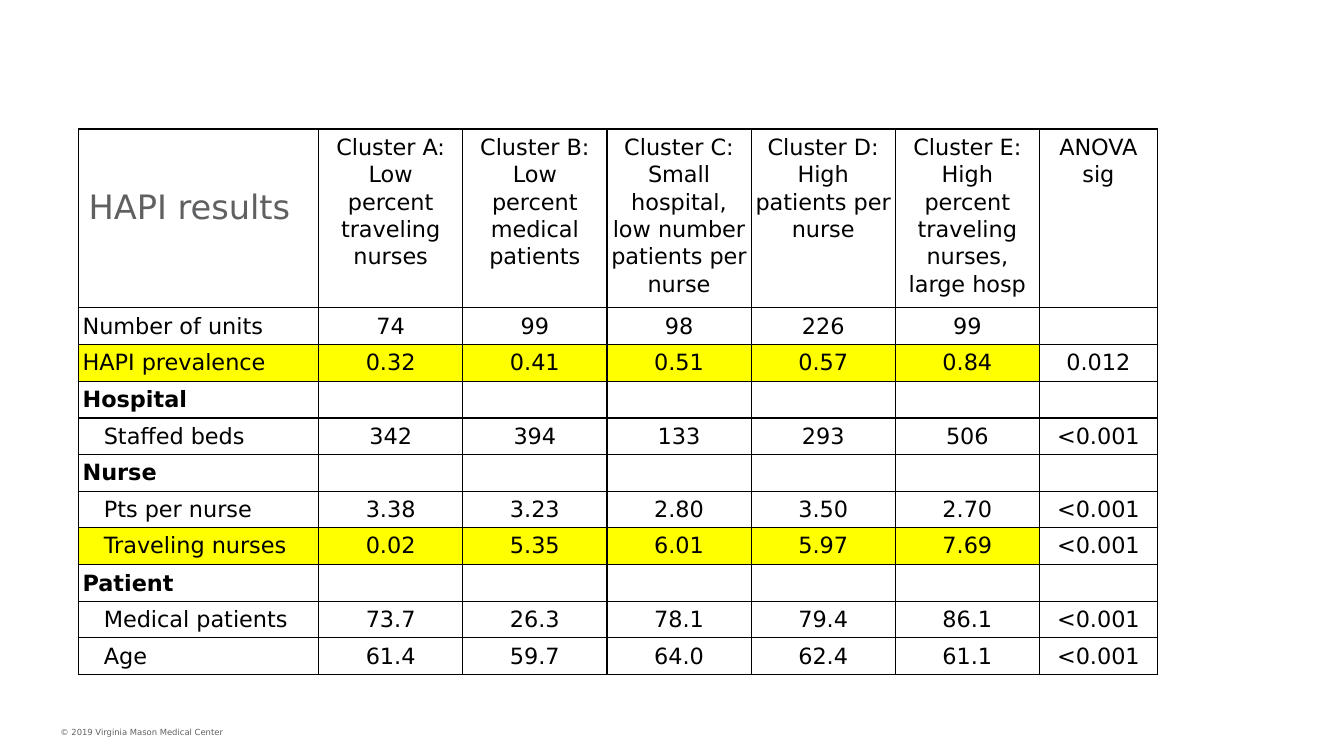
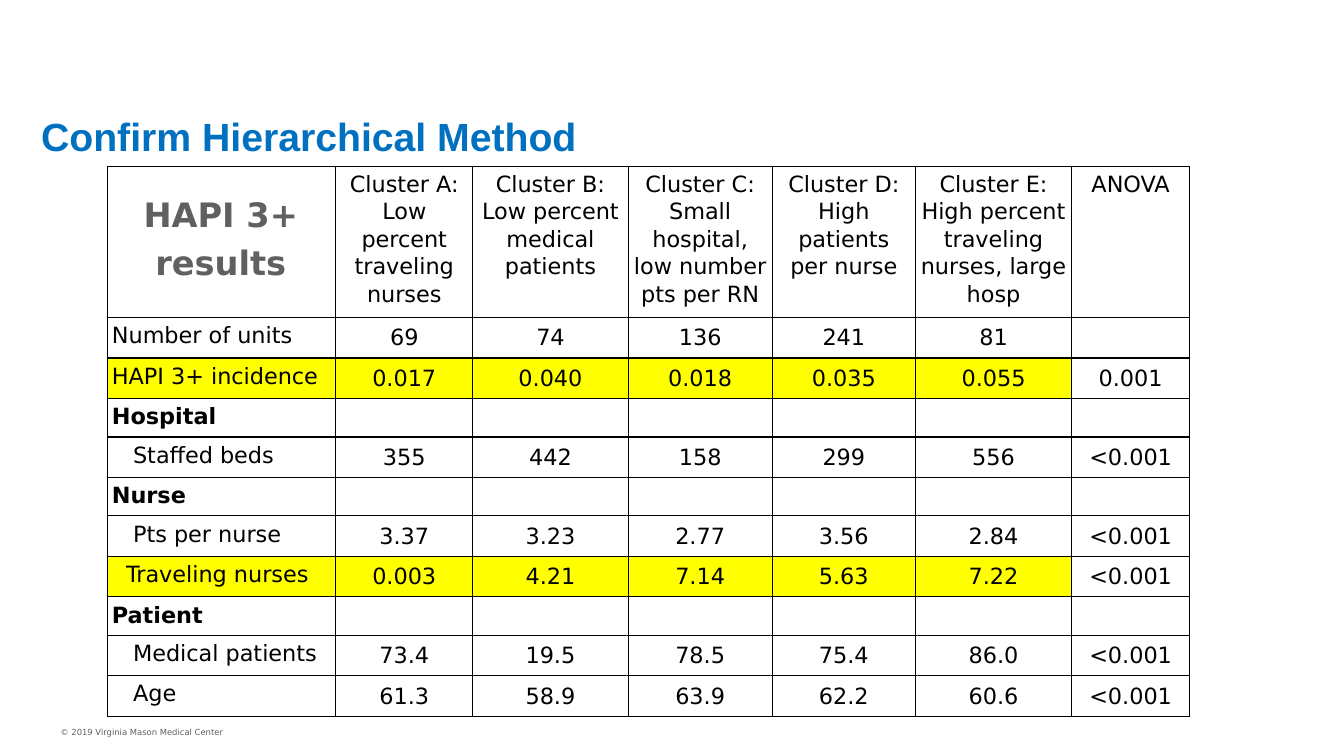
from lxml.etree import SubElement
from pptx import Presentation
from pptx.dml.color import RGBColor
from pptx.enum.text import PP_ALIGN
from pptx.oxml.ns import qn
from pptx.util import Inches, Pt

COLORS = {"text": "000000", "gray": "5F6062", "title": "0070C0",
          "highlight": "FFFF00", "border": "000000"}
BODY_FONT = "DejaVu Sans"
TITLE_FONT = "Arial"
LABEL_MARGIN = 0.04
LINE_SPACING = 1.06
FOOTER = "© 2019 Virginia Mason Medical Center"

HAPI_RESULTS = {
    "box": (0.78, 1.28),
    "columns": [2.38, 1.43, 1.43, 1.43, 1.43, 1.43, 1.17],
    "rows": [1.72, 0.36, 0.37, 0.36, 0.35, 0.35, 0.36, 0.37, 0.35, 0.36, 0.36],
    "value_margin": 0.04,
    "highlights": ("HAPI prevalence", "Traveling nurses"),
    "indents": {"Staffed beds": 0.21, "Pts per nurse": 0.21, "Traveling nurses": 0.21,
                "Medical patients": 0.21, "Age": 0.21},
    "cells": [
        ["", "Cluster A: Low percent traveling nurses",
         "Cluster B: Low percent medical patients",
         "Cluster C: Small hospital, low number patients per nurse",
         "Cluster D: High patients per nurse",
         "Cluster E: High percent traveling nurses, large hosp", "ANOVA sig"],
        ["Number of units", "74", "99", "98", "226", "99"],
        ["HAPI prevalence", "0.32", "0.41", "0.51", "0.57", "0.84", "0.012"],
        ["Hospital"],
        ["Staffed beds", "342", "394", "133", "293", "506", "<0.001"],
        ["Nurse"],
        ["Pts per nurse", "3.38", "3.23", "2.80", "3.50", "2.70", "<0.001"],
        ["Traveling nurses", "0.02", "5.35", "6.01", "5.97", "7.69", "<0.001"],
        ["Patient"],
        ["Medical patients", "73.7", "26.3", "78.1", "79.4", "86.1", "<0.001"],
        ["Age", "61.4", "59.7", "64.0", "62.4", "61.1", "<0.001"],
    ],
}

HAPI_3_RESULTS = {
    "box": (1.07, 1.65),
    "columns": [2.26, 1.36, 1.54, 1.43, 1.42, 1.55, 1.17],
    "rows": [1.5, 0.4, 0.39, 0.38, 0.4, 0.38, 0.39, 0.4, 0.38, 0.39, 0.4],
    "value_margin": 0.06,
    "highlights": ("HAPI 3+ incidence", "Traveling nurses"),
    "indents": {**HAPI_RESULTS["indents"], "Traveling nurses": 0.14},
    "cells": [
        ["", "Cluster A: Low percent traveling nurses",
         "Cluster B: Low percent medical patients",
         "Cluster C: Small hospital, low number pts per RN",
         "Cluster D: High patients per nurse",
         "Cluster E: High percent traveling nurses, large hosp", "ANOVA"],
        ["Number of units", "69", "74", "136", "241", "81"],
        ["HAPI 3+ incidence", "0.017", "0.040", "0.018", "0.035", "0.055", "0.001"],
        ["Hospital"],
        ["Staffed beds", "355", "442", "158", "299", "556", "<0.001"],
        ["Nurse"],
        ["Pts per nurse", "3.37", "3.23", "2.77", "3.56", "2.84", "<0.001"],
        ["Traveling nurses", "0.003", "4.21", "7.14", "5.63", "7.22", "<0.001"],
        ["Patient"],
        ["Medical patients", "73.4", "19.5", "78.5", "75.4", "86.0", "<0.001"],
        ["Age", "61.3", "58.9", "63.9", "62.2", "60.6", "<0.001"],
    ],
}


def style_font(paragraph, size, color, bold=False, name=BODY_FONT):
    font = paragraph.font
    font.name, font.size, font.bold = name, Pt(size), bold
    font.color.rgb = RGBColor.from_string(COLORS[color])


def add_text(slide, box, lines, size, color, bold=False, name=BODY_FONT,
             align=PP_ALIGN.LEFT, wrap=True):
    frame = slide.shapes.add_textbox(*map(Inches, box)).text_frame
    frame.word_wrap = wrap
    for index, line in enumerate(lines):
        paragraph = frame.add_paragraph() if index else frame.paragraphs[0]
        paragraph.text = line
        paragraph.alignment = align
        if index:
            paragraph.space_before = Pt(size * 0.23)
        style_font(paragraph, size, color, bold, name)


def add_borders(cell):
    properties = cell._tc.get_or_add_tcPr()
    for side in ("a:lnL", "a:lnR", "a:lnT", "a:lnB"):
        line = SubElement(properties, qn(side), w=str(Pt(1)))
        fill = SubElement(line, qn("a:solidFill"))
        SubElement(fill, qn("a:srgbClr"), val=COLORS["border"])


def fill_cell(cell, text, margin, indent, align, bold, highlighted):
    cell.margin_left = Inches(margin + indent)
    cell.margin_right = cell.margin_top = cell.margin_bottom = Inches(margin)
    add_borders(cell)
    if highlighted:
        cell.fill.solid()
        cell.fill.fore_color.rgb = RGBColor.from_string(COLORS["highlight"])
    else:
        cell.fill.background()
    paragraph = cell.text_frame.paragraphs[0]
    if not text:
        # A small end mark keeps empty cells from stretching the row
        SubElement(paragraph._p, qn("a:endParaRPr"), sz="1000")
        return
    paragraph.text = text
    paragraph.alignment = align
    paragraph.line_spacing = LINE_SPACING
    style_font(paragraph, 16, "text", bold)


def add_results_table(slide, data):
    columns, rows = data["columns"], data["rows"]
    box = (*data["box"], sum(columns), sum(rows))
    table = slide.shapes.add_table(len(rows), len(columns), *map(Inches, box)).table
    table.first_row = table.horz_banding = False
    for column, width in zip(table.columns, columns):
        column.width = Inches(width)
    for row, height in zip(table.rows, rows):
        row.height = Inches(height)

    last = len(columns) - 1
    for row_index, texts in enumerate(data["cells"]):
        label = texts[0]
        is_group = len(texts) == 1
        for column_index in range(len(columns)):
            text = texts[column_index] if column_index < len(texts) else ""
            is_label = column_index == 0
            is_value = row_index > 0 and not is_label and text
            fill_cell(
                table.cell(row_index, column_index), text,
                margin=data["value_margin"] if is_value else LABEL_MARGIN,
                indent=data["indents"].get(label, 0) if is_label else 0,
                align=PP_ALIGN.LEFT if is_label else PP_ALIGN.CENTER,
                bold=is_group,
                highlighted=label in data["highlights"] and column_index < last)


def add_results_slide(presentation, data):
    slide = presentation.slides.add_slide(presentation.slide_layouts[6])
    add_text(slide, (0.5, 7.16, 4.75, 0.2), [FOOTER], 6, "gray")
    add_results_table(slide, data)
    return slide


def main():
    presentation = Presentation()
    presentation.slide_width, presentation.slide_height = Inches(13.33), Inches(7.5)

    # HAPI results
    slide = add_results_slide(presentation, HAPI_RESULTS)
    add_text(slide, (0.78, 1.79, 2.38, 0.58), ["HAPI results"], 24, "gray")

    # HAPI 3+ results
    slide = add_results_slide(presentation, HAPI_3_RESULTS)
    add_text(slide, (1.07, 1.87, 2.24, 0.95), ["HAPI 3+", "results"], 24, "gray",
             bold=True, align=PP_ALIGN.CENTER)
    add_text(slide, (0.31, 1.07, 5.58, 0.57), ["Confirm Hierarchical Method"], 28,
             "title", bold=True, name=TITLE_FONT, wrap=False)

    presentation.save("out.pptx")


if __name__ == "__main__":
    main()
